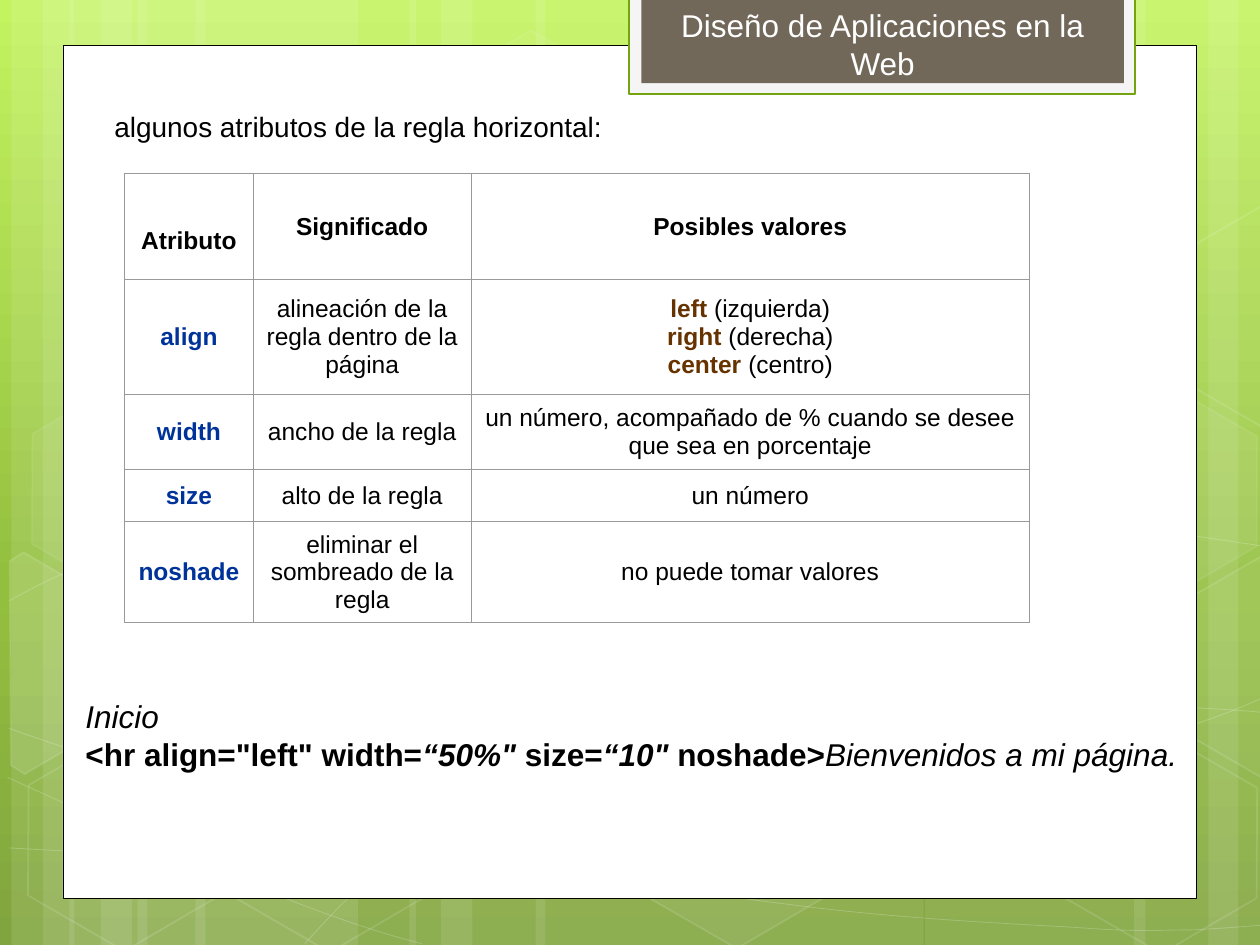
import math
from copy import deepcopy
from typing import NamedTuple, Optional

from lxml import etree
from pptx import Presentation
from pptx import util as u
from pptx.dml.color import RGBColor
from pptx.enum import shapes, text
from pptx.oxml.ns import qn

WHITE, BLACK, BLUE, BROWN = "FFFFFF", "000000", "003399", "663300"
FONT = "Arial"
TILT = 30


class Paint(NamedTuple):
    """Fill and line, with opacities in percent."""
    fill: Optional[str] = None
    fill_alpha: int = 100
    line: Optional[str] = None
    width: float = 1
    line_alpha: int = 100


class Span(NamedTuple):
    words: str
    color: str = BLACK
    bold: bool = False
    italic: bool = False


class Hexagon(NamedTuple):
    left: float
    top: float
    fill_alpha: int = 0
    line_alpha: int = 12


def rgb(color: str) -> RGBColor:
    return RGBColor.from_string(color)


def set_alpha(shape, where: str, percent: int) -> None:
    if percent < 100:
        color = shape._element.xpath(f"./p:spPr/{where}a:solidFill/a:srgbClr")[0]
        etree.SubElement(color, qn("a:alpha")).set("val", str(percent * 1000))


def apply_paint(shape, paint: Paint) -> None:
    shape.shadow.inherit = False
    if paint.fill and paint.fill_alpha:
        shape.fill.solid()
        shape.fill.fore_color.rgb = rgb(paint.fill)
        set_alpha(shape, "", paint.fill_alpha)
    else:
        shape.fill.background()
    if paint.line:
        shape.line.color.rgb = rgb(paint.line)
        shape.line.width = u.Pt(paint.width)
        set_alpha(shape, "a:ln/", paint.line_alpha)
    else:
        shape.line.fill.background()


def add_preset(page, kind, left: float, top: float, width: float, height: float, paint: Paint):
    shape = page.shapes.add_shape(kind, *map(u.Inches, (left, top, width, height)))
    apply_paint(shape, paint)
    return shape


def add_outline(page, points: list, paint: Paint, close: bool):
    corners = [(u.Inches(x), u.Inches(y)) for x, y in points]
    builder = page.shapes.build_freeform(*corners[0])
    builder.add_line_segments(corners[1:], close=close)
    shape = builder.convert_to_shape()
    apply_paint(shape, paint)
    return shape


def add_curve(page, knots: list, paint: Paint) -> None:
    """Joined cubic curves: a start, then two controls and an end for each."""
    shape = add_outline(page, knots, paint, False)
    steps = shape._element.xpath(".//a:lnTo")
    for first in range(0, len(steps), 3):
        curve = etree.Element(qn("a:cubicBezTo"))
        steps[first].addprevious(curve)
        for step in steps[first:first + 3]:
            curve.append(step[0])
            step.getparent().remove(step)


def add_tilted_outline(page, points: list, center: tuple, paint: Paint) -> None:
    """Outline whose own box is turned by TILT around the center."""
    cos, sin = math.cos(math.radians(TILT)), math.sin(math.radians(TILT))
    offsets = [(x - center[0], y - center[1]) for x, y in points]
    upright = [(center[0] + x * cos + y * sin, center[1] - x * sin + y * cos)
               for x, y in offsets]
    add_outline(page, upright, paint, True).rotation = TILT


def write(para, spans: list, size: float) -> None:
    for item in spans:
        for index, words in enumerate(item.words.split("\n")):
            if index:
                para.add_line_break()
            if not words:
                continue
            span = para.add_run()
            span.text = words
            font = span.font
            font.name, font.size = FONT, u.Pt(size)
            font.bold, font.italic = item.bold, item.italic
            font.color.rgb = rgb(item.color)


def add_text(page, left: float, top: float, width: float, height: float,
             paragraphs: list, size: float, wrap: bool) -> None:
    box = page.shapes.add_textbox(*map(u.Inches, (left, top, width, height)))
    frame = box.text_frame
    frame.word_wrap = wrap
    frame.vertical_anchor = text.MSO_ANCHOR.MIDDLE
    for index, spans in enumerate(paragraphs):
        write(frame.add_paragraph() if index else frame.paragraphs[0], spans, size)


def add_borders(cell, color: str, width: float) -> None:
    properties = cell._tc.get_or_add_tcPr()
    for index, side in enumerate(("lnL", "lnR", "lnT", "lnB")):
        line = etree.Element(qn(f"a:{side}"), w=str(u.Pt(width)))
        fill = etree.SubElement(line, qn("a:solidFill"))
        etree.SubElement(fill, qn("a:srgbClr")).set("val", color)
        properties.insert(index, line)


def add_grid(page, left: float, top: float, widths: list, heights: list, rows: list):
    frame = page.shapes.add_table(len(rows), len(widths), *map(
        u.Inches, (left, top, sum(widths), sum(heights))))
    table = frame.table
    table.first_row = table.horz_banding = False
    for column, width in zip(table.columns, widths):
        column.width = u.Inches(width)
    for row, height, contents in zip(table.rows, heights, rows):
        row.height = u.Inches(height)
        for cell, spans in zip(row.cells, contents):
            cell.fill.background()
            cell.vertical_anchor = text.MSO_ANCHOR.MIDDLE
            para = cell.text_frame.paragraphs[0]
            para.alignment = text.PP_ALIGN.CENTER
            write(para, spans, 14)
            add_borders(cell, "999999", 0.75)
    return table


deck = Presentation()
deck.slide_width, deck.slide_height = u.Inches(10), u.Inches(7.5)
page = deck.slides.add_slide(deck.slide_layouts[5])
RECT = shapes.MSO_SHAPE.RECTANGLE

# Green gradient background
background = page.background.fill
background.gradient()
background.gradient_angle = 270
stop_list = page._element.xpath(".//p:bg//a:gsLst")[0]
stop_list.append(deepcopy(stop_list[-1]))
for stop, (position, color) in zip(background.gradient_stops,
                                   ((0, "C3F35F"), (0.62, "93BF3F"), (1, "81A53E"))):
    stop.position = position
    stop.color.rgb = rgb(color)

# Translucent vertical stripes
for left, width in ((1.09, 1.75), (0.09, 0.5), (0.34, 0.83), (1.55, 1.75), (0.55, 0.5),
                    (0.8, 0.83), (7.34, 1.75), (9.59, 0.5), (9, 0.83), (4.25, 3.08),
                    (3.25, 0.5), (3.5, 0.83)):
    add_preset(page, RECT, left, 0, width, 7.5, Paint(WHITE, 10))

# Thin sweeping curves
curves = [
    [(0.07, 6.73), (0.61, 6.76), (1.15, 6.79), (1.9, 6.78), (2.65, 6.77), (3.58, 6.75),
     (4.58, 6.65), (5.58, 6.55), (7, 6.36), (7.92, 6.17), (8.83, 5.98), (9.77, 5.68),
     (10.07, 5.51)],
    [(0.07, 4.77), (0.36, 4.61), (0.65, 4.46), (1.21, 4.31), (1.78, 4.16), (2.59, 3.94),
     (3.47, 3.87), (4.36, 3.8), (5.44, 3.79), (6.54, 3.87), (7.64, 3.95), (9.47, 4.26),
     (10.07, 4.34)],
    [(0.06, 6.17), (1.27, 6.72), (2.47, 7.27), (3.35, 7.49)],
    [(0.07, 5.78), (0.38, 5.89), (0.7, 6), (1.28, 6.16), (1.86, 6.31), (2.73, 6.56),
     (3.57, 6.73), (4.4, 6.9), (5.45, 7.08), (6.28, 7.18), (7.11, 7.29), (8, 7.33),
     (8.53, 7.36), (9.06, 7.4), (9.19, 7.38), (9.45, 7.38), (9.71, 7.37), (9.89, 7.35),
     (10.07, 7.34)],
    [(2.42, 7.49), (2.6, 7.29), (2.78, 7.09), (3.02, 6.91), (3.26, 6.72), (3.6, 6.53),
     (3.88, 6.39), (4.16, 6.25), (4.33, 6.19), (4.69, 6.09), (5.06, 5.99), (5.73, 5.85),
     (6.08, 5.78), (6.44, 5.71), (6.49, 5.71), (6.8, 5.69), (7.11, 5.66), (7.6, 5.63),
     (7.94, 5.62), (8.29, 5.61), (8.86, 5.62), (8.86, 5.62), (9.08, 5.62), (9.31, 5.62),
     (9.53, 5.62), (9.71, 5.63), (9.88, 5.64), (9.97, 5.65), (10.06, 5.66), (10.03, 5.65),
     (10.06, 5.66)],
]
for knots in curves:
    add_curve(page, knots, Paint(line=WHITE, width=0.5, line_alpha=20))

# Hexagons, whole and cut off at the slide edges
for item in (Hexagon(3.34, 0.36, 4, 8), Hexagon(4.97, 5.89, 6), Hexagon(0.11, 5.91),
             Hexagon(0.14, 3.12, 7, 8), Hexagon(1.74, 5.92), Hexagon(7.53, 4.53, 10),
             Hexagon(8.34, 5.93), Hexagon(8.34, 3.14, 7, 8)):
    hexagon = add_preset(page, shapes.MSO_SHAPE.HEXAGON, item.left, item.top, 1.75, 1.52,
                         Paint(WHITE, item.fill_alpha, WHITE, 1, item.line_alpha))
    hexagon.adjustments[0] = 0.285
    hexagon.rotation = TILT
left_cut = [(0.08, 4.45), (0.19, 4.38), (0.96, 4.83), (0.95, 5.7), (0.2, 6.14), (0.09, 6.07)]
right_cut = [(9.26, 4.85), (10.02, 4.41), (10.09, 4.46), (10.09, 6.13), (10.02, 6.17),
             (9.26, 5.73)]
upper_cut = [(x, y - 2.78) for x, y in right_cut]
for points, center, alpha in ((left_cut, (0.36, 5.36), 10), (right_cut, (9.85, 5.2), 4),
                              (upper_cut, (9.85, 2.41), 0)):
    add_tilted_outline(page, points, center, Paint(WHITE, alpha, WHITE, 1, 12))

# White sheet and title tab
add_preset(page, RECT, 0.5, 0.36, 9, 6.77, Paint(WHITE, line=BLACK, width=0.5))
add_preset(page, RECT, 4.99, -0.02, 4.02, 0.77, Paint("F5F5F5", line="74A510", width=1.25))
add_preset(page, RECT, 5.09, -0.02, 3.83, 0.68, Paint("71685A"))
title = page.shapes.title
title.left, title.top, title.width, title.height = map(u.Inches, (5.17, 0, 3.67, 0.71))
title.text_frame.auto_size = text.MSO_AUTO_SIZE.NONE
title.text_frame.vertical_anchor = text.MSO_ANCHOR.TOP
title.text_frame.paragraphs[0].alignment = text.PP_ALIGN.CENTER
write(title.text_frame.paragraphs[0], [Span("Diseño de Aplicaciones en la Web", WHITE)], 18)
page.shapes._spTree.append(title._element)  # in front of the tab

# Introduction and attribute table
add_text(page, 0.81, 0.82, 4.22, 0.37, [[Span("algunos atributos de la regla horizontal:")]],
         16, False)
alignments = [Span("left ", BROWN, True), Span("(izquierda)\n"), Span("right", BROWN, True),
              Span(" (derecha)\n"), Span("center", BROWN, True), Span(" (centro)")]
attributes = [
    ("align", "alineación de la regla dentro de la página", alignments),
    ("width", "ancho de la regla",
     [Span("un número, acompañado de % cuando se desee que sea en porcentaje")]),
    ("size", "alto de la regla", [Span("un número")]),
    ("noshade", "eliminar el sombreado de la regla", [Span("no puede tomar valores")]),
]
rows = [[[Span(name, bold=True)] for name in ("Atributo", "Significado", "Posibles valores")]]
rows += [[[Span(name, BLUE, True)], [Span(meaning)], values]
         for name, meaning, values in attributes]
table = add_grid(page, 0.99, 1.38, [1.02, 1.73, 4.43], [0.84, 0.91, 0.6, 0.41, 0.8], rows)
table.cell(0, 0).margin_top = u.Inches(0.27)  # first heading sits lower

# Code example
add_text(page, 0.58, 5.48, 8.9, 0.71, [
    [Span("Inicio", italic=True)],
    [Span('<hr align="left" width=', bold=True), Span('“50%"', bold=True, italic=True),
     Span(" size=", bold=True), Span('“10"', bold=True, italic=True),
     Span(" noshade>", bold=True), Span("Bienvenidos a mi página.", italic=True)],
], 18, True)

deck.save("out.pptx")
